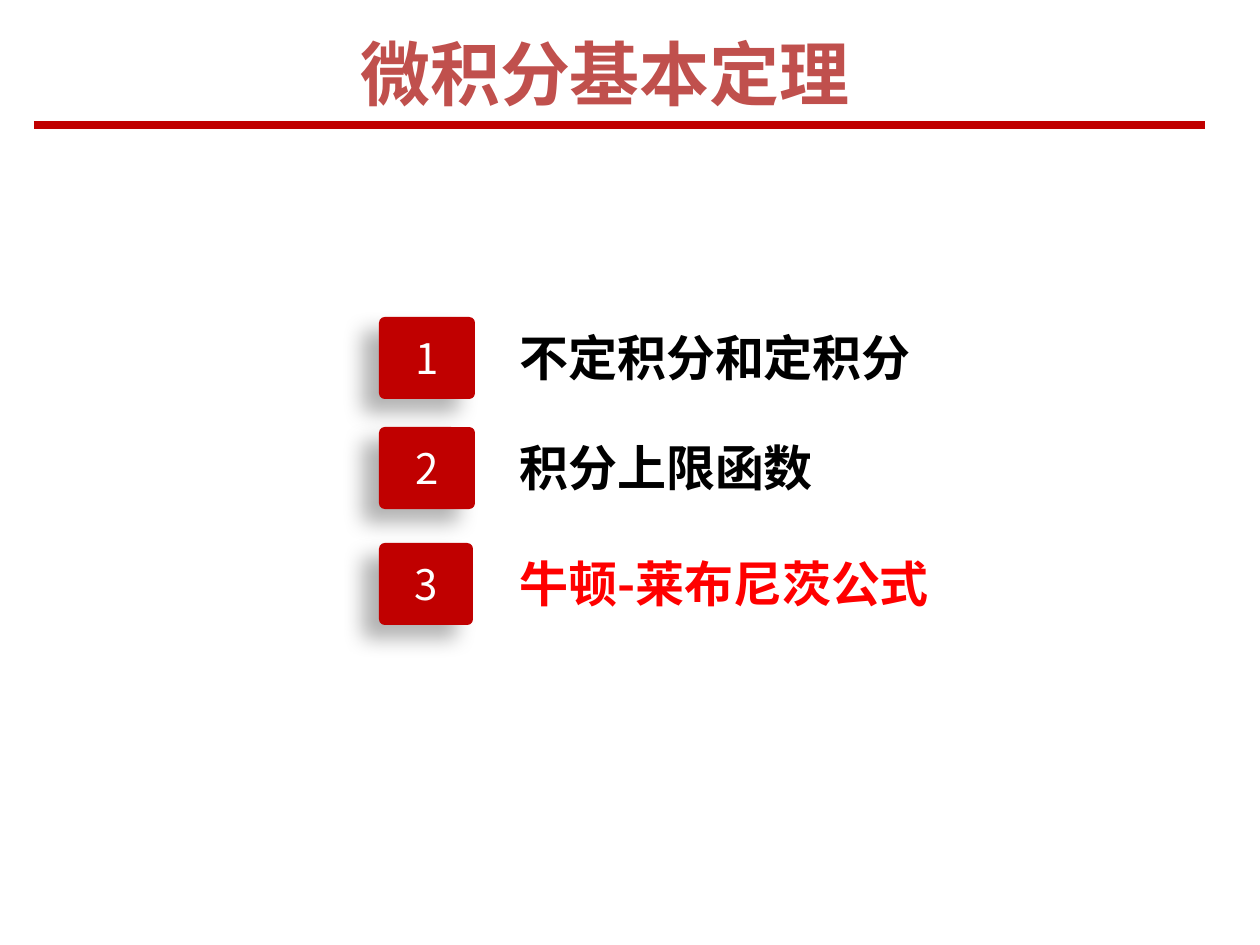
from lxml import etree
from pptx import Presentation
from pptx import util as u
from pptx.dml.color import RGBColor
from pptx.enum import shapes, text
from pptx.oxml import ns

FONT = "Noto Sans CJK SC"
TITLE_RED = RGBColor(0xC0, 0x50, 0x4D)
DEEP_RED = RGBColor(0xC0, 0x00, 0x00)
RED = RGBColor(0xFF, 0x00, 0x00)
BLACK = RGBColor(0x00, 0x00, 0x00)
WHITE = RGBColor(0xFF, 0xFF, 0xFF)

TOPICS = [
    (317, 96, "不定积分和定积分", BLACK),
    (427, 96, "积分上限函数", BLACK),
    (543, 94, "牛顿-莱布尼茨公式", RED),
]


def px(n):
    """Turn pixels at 126 to the inch into EMU."""
    return u.Emu(round(n * 914400 / 126))


def write(s, words, size, color, bold=False, align=text.PP_ALIGN.LEFT,
          anchor=text.MSO_ANCHOR.TOP):
    """Put one formatted line of text in a shape."""
    tf = s.text_frame
    tf.word_wrap = True
    tf.vertical_anchor = anchor
    p = tf.paragraphs[0]
    p.alignment = align
    r = p.add_run()
    r.text = words
    r.font.size = u.Pt(size)
    r.font.bold = bold
    r.font.color.rgb = color
    r.font.name = FONT
    ea = etree.SubElement(r.font._element, ns.qn("a:ea"))
    ea.set("typeface", FONT)


def add_text(sp, x, y, w, h, words, **fmt):
    """Add a text box."""
    write(sp.add_textbox(px(x), px(y), px(w), px(h)), words, **fmt)


def add_shadow(s):
    """Give a shape a soft shadow to the lower left."""
    s.shadow.inherit = False
    effects = s._element.spPr.find(ns.qn("a:effectLst"))
    shadow = etree.SubElement(
        effects, ns.qn("a:outerShdw"), blurRad=str(u.Pt(12)),
        dist=str(u.Pt(12)), dir=str(140 * 60000), algn="tr", rotWithShape="0")
    color = etree.SubElement(shadow, ns.qn("a:srgbClr"), val=str(BLACK))
    etree.SubElement(color, ns.qn("a:alpha"), val="30000")


def add_badge(sp, x, y, w, h, number):
    """Add a numbered red badge."""
    s = sp.add_shape(shapes.MSO_SHAPE.ROUNDED_RECTANGLE,
                     px(x), px(y), px(w), px(h))
    s.adjustments[0] = 0.07
    s.fill.solid()
    s.fill.fore_color.rgb = DEEP_RED
    s.line.fill.background()
    add_shadow(s)
    write(s, str(number), size=24, color=WHITE,
          align=text.PP_ALIGN.CENTER, anchor=text.MSO_ANCHOR.MIDDLE)


def add_rule(sp, x1, x2, y):
    """Add the horizontal rule under the title."""
    s = sp.add_connector(shapes.MSO_CONNECTOR.STRAIGHT,
                         px(x1), px(y), px(x2), px(y))
    s.line.color.rgb = DEEP_RED
    s.line.width = u.Pt(4.5)
    etree.SubElement(s._element.spPr, ns.qn("a:effectLst"))


def main():
    """Build the outline slide."""
    prs = Presentation()
    prs.slide_width, prs.slide_height = px(1260), px(945)
    sp = prs.slides.add_slide(prs.slide_layouts[6]).shapes
    add_text(sp, 0, 25, 1210, 96, "微积分基本定理", size=40, color=TITLE_RED,
             bold=True, align=text.PP_ALIGN.CENTER,
             anchor=text.MSO_ANCHOR.MIDDLE)
    add_rule(sp, 34, 1205, 125)
    for number, (y, w, words, color) in enumerate(TOPICS, 1):
        add_badge(sp, 379, y, w, 82, number)
        add_text(sp, 507, y + 4, 558, 72, words, size=28, color=color, bold=True)
    prs.save("out.pptx")


if __name__ == "__main__":
    main()
